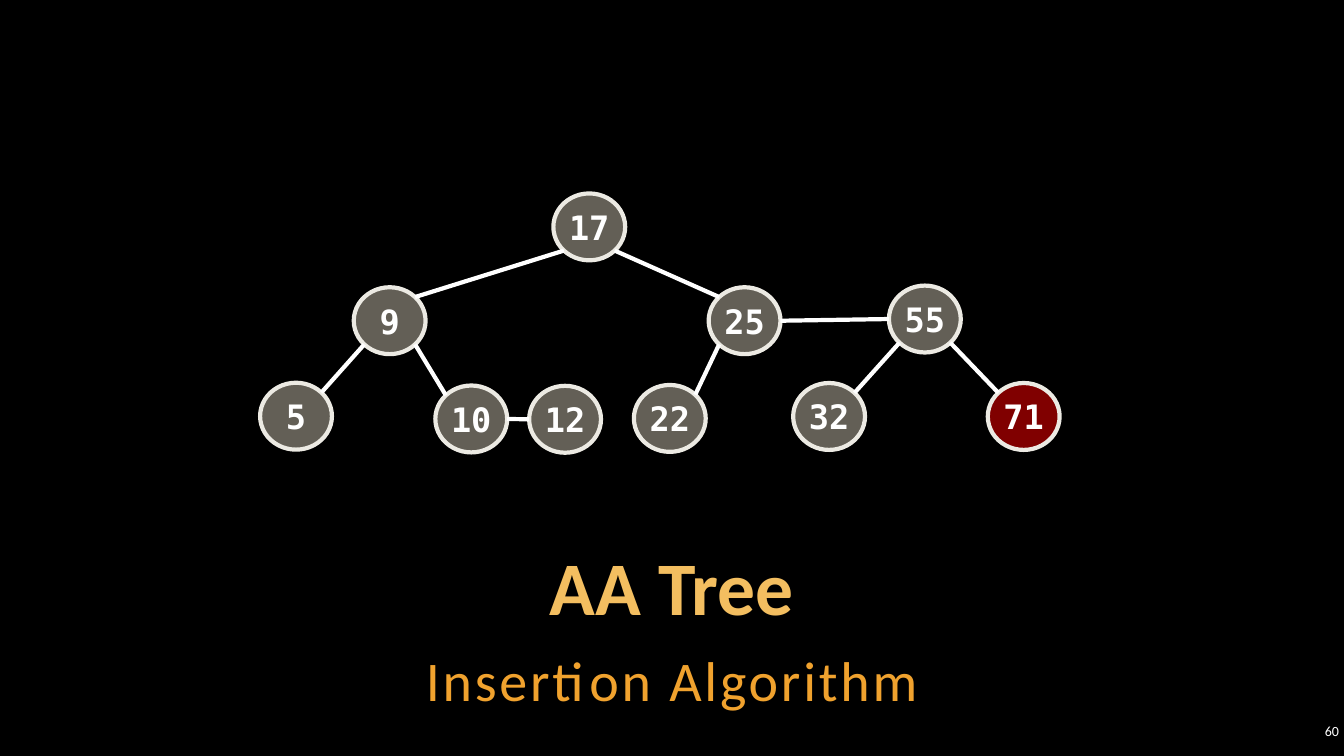
from dataclasses import dataclass
from math import sqrt

from lxml.etree import SubElement
from pptx import Presentation
from pptx.dml.color import RGBColor
from pptx.enum.shapes import MSO_CONNECTOR, MSO_SHAPE
from pptx.enum.text import MSO_ANCHOR, MSO_AUTO_SIZE, PP_ALIGN
from pptx.oxml.ns import qn
from pptx.shapes.base import BaseShape
from pptx.shapes.group import GroupShape
from pptx.slide import Slide
from pptx.text.text import TextFrame, _Paragraph
from pptx.util import Pt


@dataclass(frozen=True)
class Theme:
    background: str = "000000"
    title: str = "F3BE60"
    subtitle: str = "F0A22E"
    text: str = "FFFFFF"
    node: str = "C7BFAC"
    inserted: str = "FF0000"
    outline: str = "ECEAE3"
    edge: str = "FFFFFF"
    font: str = "Calibri"
    key_font: str = "DejaVu Sans Mono"
    title_size: int = 54
    subtitle_size: int = 40
    key_size: int = 24
    number_size: int = 10
    line_width: int = 3
    inset: float = 3.6


@dataclass(frozen=True)
class Node:
    key: int
    left: float
    top: float
    inserted: bool = False

    def point(self, across: int, down: int) -> tuple[float, float]:
        """Point on the rim; across and down are -1, 0 or 1."""
        reach = 1 / sqrt(across**2 + down**2)
        return (self.left + NODE_WIDTH / 2 * (1 + across * reach),
                self.top + NODE_HEIGHT / 2 * (1 + down * reach))


@dataclass(frozen=True)
class Edge:
    parent: int
    child: int
    side: int  # -1 left child, 1 right child
    level: bool = False  # horizontal link within one level


THEME = Theme()
NODE_WIDTH, NODE_HEIGHT = 51.3, 47.8

NODES = [
    Node(17, 395.3, 138.2),
    Node(9, 252.7, 205.2),
    Node(25, 506.2, 205.2),
    Node(55, 635, 204),
    Node(5, 185.8, 273.4),
    Node(10, 311, 275.4),
    Node(12, 378, 275.6),
    Node(22, 452.8, 275),
    Node(32, 566.6, 273.6),
    Node(71, 705.6, 273.6, inserted=True),
]
EDGES = [
    Edge(17, 9, -1), Edge(17, 25, 1),
    Edge(9, 5, -1), Edge(9, 10, 1),
    Edge(10, 12, 1, level=True),
    Edge(25, 22, -1), Edge(25, 55, 1, level=True),
    Edge(55, 32, -1), Edge(55, 71, 1),
]


def color(value: str) -> RGBColor:
    return RGBColor.from_string(value)


def write(frame: TextFrame, text: str, size: int, ink: str, align: PP_ALIGN,
          font: str = THEME.font, bold: bool = False) -> _Paragraph:
    frame.text = text
    paragraph = frame.paragraphs[0]
    paragraph.alignment = align
    style = paragraph.runs[0].font
    style.name, style.size, style.bold = font, Pt(size), bold
    style.color.rgb = color(ink)
    return paragraph


def place(shape: BaseShape, left: float, top: float, width: float,
          height: float, anchor: MSO_ANCHOR) -> TextFrame:
    shape.left, shape.top = Pt(left), Pt(top)
    shape.width, shape.height = Pt(width), Pt(height)
    frame = shape.text_frame
    frame.word_wrap = True
    frame.auto_size = MSO_AUTO_SIZE.NONE
    frame.vertical_anchor = anchor
    frame.margin_left = frame.margin_right = Pt(THEME.inset)
    frame.margin_top = frame.margin_bottom = Pt(THEME.inset)
    return frame


def draw_node(tree: GroupShape, node: Node) -> None:
    circle = tree.shapes.add_shape(MSO_SHAPE.OVAL, Pt(node.left), Pt(node.top),
                                   Pt(NODE_WIDTH), Pt(NODE_HEIGHT))
    circle.shadow.inherit = False
    circle.fill.solid()
    circle.fill.fore_color.rgb = color(THEME.inserted if node.inserted else THEME.node)
    fill = circle._element.spPr.find(f"{qn('a:solidFill')}/{qn('a:srgbClr')}")
    SubElement(fill, qn("a:alpha")).set("val", "50000")
    circle.line.color.rgb = color(THEME.outline)
    circle.line.width = Pt(THEME.line_width)
    frame = circle.text_frame
    frame.word_wrap = False
    frame.vertical_anchor = MSO_ANCHOR.MIDDLE
    write(frame, str(node.key), THEME.key_size, THEME.text, PP_ALIGN.CENTER,
          THEME.key_font, bold=True)


def draw_edge(tree: GroupShape, edge: Edge, nodes: dict[int, Node]) -> None:
    drop = 0 if edge.level else 1
    start = nodes[edge.parent].point(edge.side, drop)
    end = nodes[edge.child].point(-edge.side, -drop)
    link = tree.shapes.add_connector(MSO_CONNECTOR.STRAIGHT,
                                     *(Pt(length) for length in start + end))
    link.line.color.rgb = color(THEME.edge)
    link.line.width = Pt(THEME.line_width)
    SubElement(link._element.spPr, qn("a:effectLst"))


def add_headings(slide: Slide) -> None:
    title = place(slide.shapes.title, 72, 390.2, 816, 64.8, MSO_ANCHOR.BOTTOM)
    heading = write(title, "AA Tree", THEME.title_size, THEME.title,
                    PP_ALIGN.CENTER, bold=True)
    heading.line_spacing = 0.9

    subtitle = place(slide.placeholders[1], 72, 452.9, 816, 56.2, MSO_ANCHOR.TOP)
    topic = write(subtitle, "Insertion Algorithm", THEME.subtitle_size,
                  THEME.subtitle, PP_ALIGN.CENTER)
    topic.line_spacing = 1.1
    topic.space_before, topic.space_after = Pt(0), Pt(6)
    topic.runs[0]._r.get_or_add_rPr().set("spc", "200")


def add_slide_number(slide: Slide) -> None:
    number = slide.shapes.add_textbox(0, 0, 0, 0)
    frame = place(number, 926, 514, 34, 15.8, MSO_ANCHOR.MIDDLE)
    write(frame, "60", THEME.number_size, THEME.text, PP_ALIGN.RIGHT)


def main() -> None:
    deck = Presentation()
    deck.slide_width, deck.slide_height = Pt(960), Pt(540)
    slide = deck.slides.add_slide(deck.slide_layouts[0])
    slide.background.fill.solid()
    slide.background.fill.fore_color.rgb = color(THEME.background)

    add_headings(slide)
    add_slide_number(slide)

    # Tree
    tree = slide.shapes.add_group_shape()
    nodes = {node.key: node for node in NODES}
    for node in NODES:
        draw_node(tree, node)
    for edge in EDGES:
        draw_edge(tree, edge, nodes)

    deck.save("out.pptx")


if __name__ == "__main__":
    main()
